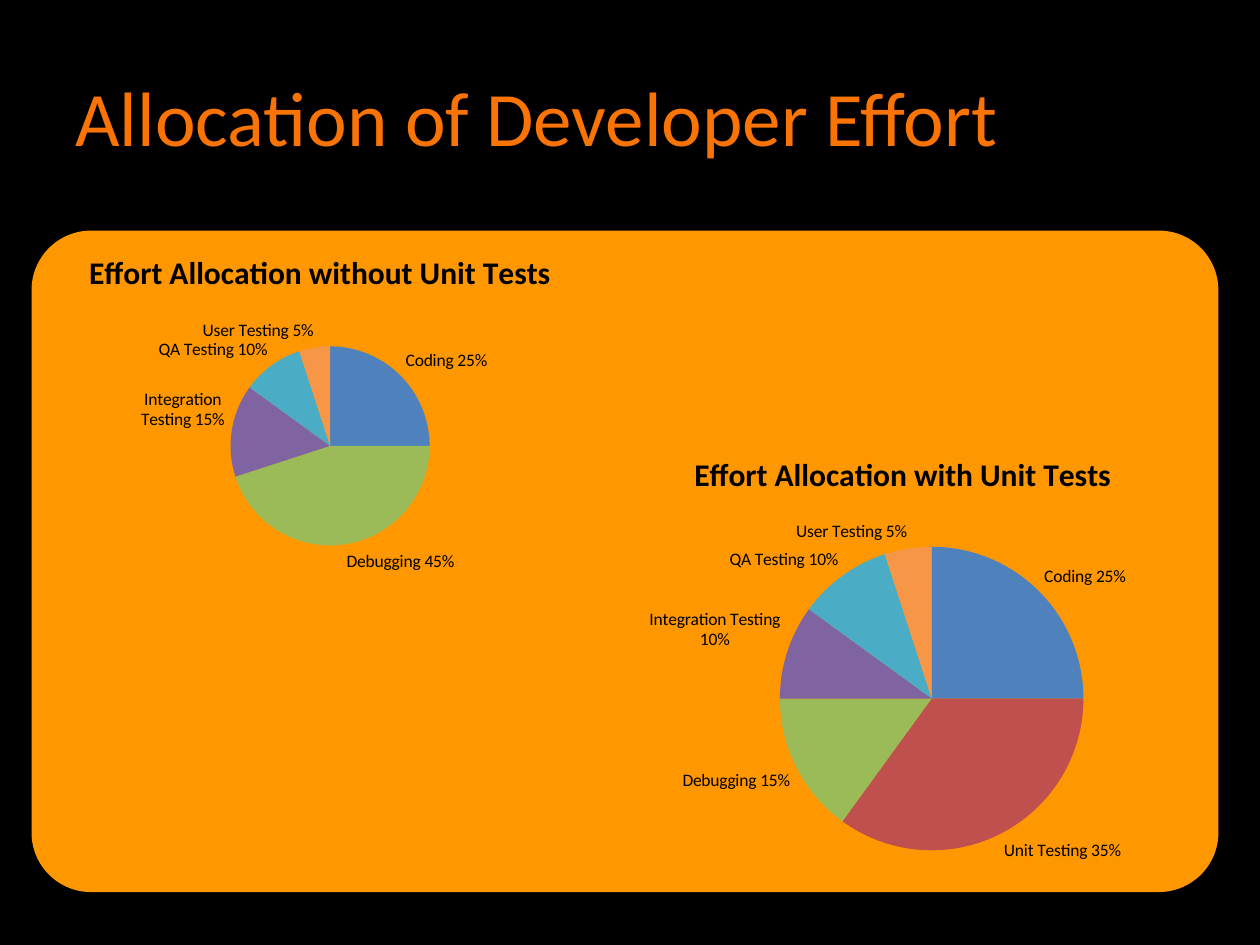
from lxml import etree
from pptx import Presentation
from pptx.chart.data import CategoryChartData
from pptx.dml.color import RGBColor
from pptx.enum.chart import XL_CHART_TYPE, XL_LABEL_POSITION
from pptx.enum.shapes import MSO_SHAPE
from pptx.enum.text import MSO_ANCHOR
from pptx.oxml import parse_xml
from pptx.oxml.ns import nsdecls, qn
from pptx.util import Inches, Pt

BLACK = RGBColor(0x00, 0x00, 0x00)
AMBER = RGBColor(0xFF, 0x97, 0x00)
ORANGE = RGBColor(0xFA, 0x73, 0x05)
SLICES = [
    RGBColor(0x4F, 0x81, 0xBD), RGBColor(0xC0, 0x50, 0x4D),
    RGBColor(0x9B, 0xBB, 0x59), RGBColor(0x80, 0x64, 0xA2),
    RGBColor(0x4B, 0xAC, 0xC6), RGBColor(0xF7, 0x96, 0x46),
]
TASKS = ["Coding", "Unit Testing", "Debugging", "Integration Testing",
         "QA Testing", "User Testing"]

# Title, shares, chart box, then left, top and width of the pie, in inches
PIES = [
    ("Effort Allocation without Unit Tests", (0.25, 0, 0.45, 0.15, 0.1, 0.05),
     (0, 1.83, 5.08, 2.83), (1.83, 2.75, 1.58)),
    ("Effort Allocation with Unit Tests", (0.25, 0.35, 0.15, 0.1, 0.1, 0.05),
     (4.33, 3.42, 5.67, 3.61), (6.19, 4.34, 2.41)),
]


def style(font, size, color, bold=False):
    looks = {"name": "Calibri", "size": Pt(size), "bold": bold}
    for key, value in looks.items():
        setattr(font, key, value)
    font.color.rgb = color


deck = Presentation()
deck.slide_width, deck.slide_height = Inches(10), Inches(7.5)
slide = deck.slides.add_slide(deck.slide_layouts[6])
slide.background.fill.solid()
slide.background.fill.fore_color.rgb = BLACK

# Panel behind the charts
panel = slide.shapes.add_shape(
    MSO_SHAPE.ROUNDED_RECTANGLE,
    *map(Inches, (0.25, 1.83, 9.42, 5.25)))
panel.adjustments[0] = 0.09
panel.shadow.inherit = False
panel.fill.solid()
panel.fill.fore_color.rgb = AMBER
panel.line.fill.background()

# Slide title
box = slide.shapes.add_textbox(*map(Inches, (0.5, 0.42, 9, 1)))
frame = box.text_frame
frame.word_wrap = True
frame.vertical_anchor = MSO_ANCHOR.MIDDLE
frame.text = "Allocation of Developer Effort"
style(frame.paragraphs[0].font, 44, ORANGE)

# Pie charts
for title, shares, place, (left, top, size) in PIES:
    data = CategoryChartData(number_format="0%")
    data.categories = TASKS
    data.add_series(title, shares)
    chart = slide.shapes.add_chart(
        XL_CHART_TYPE.PIE, *map(Inches, place), data).chart
    style(chart.font, 10, BLACK)
    chart.has_legend = False
    chart.has_title = True
    head = chart.chart_title.text_frame
    head.text = title
    style(head.paragraphs[0].runs[0].font, 18, BLACK, True)

    plot = chart.plots[0]
    plot.vary_by_categories = True
    series = plot.series[0]
    for i, color in enumerate(SLICES):
        fill = series.points[i].format.fill
        fill.solid()
        fill.fore_color.rgb = color

    # Labels: task and share, parted by a space
    labels = series.data_labels
    looks = {"show_category_name": True, "show_value": True,
             "show_percentage": False, "number_format": "0%",
             "number_format_is_linked": False,
             "position": XL_LABEL_POSITION.OUTSIDE_END}
    for key, value in looks.items():
        setattr(labels, key, value)
    style(labels.font, 10, BLACK)
    root = chart.element if hasattr(chart, "element") else chart._chartSpace
    node = next(root.iter(qn("c:ser"))).find(qn("c:dLbls"))
    gap = etree.Element(qn("c:separator"))
    gap.text = " "
    lead = node.find(qn("c:showLeaderLines"))
    if lead is None:
        node.append(gap)
    else:
        lead.addprevious(gap)

    # Empty slices get no label
    for i, share in enumerate(shares):
        if not share:
            node.insert(0, parse_xml(
                f'<c:dLbl {nsdecls("c")}><c:idx val="{i}"/>'
                '<c:delete val="1"/></c:dLbl>'))

    # Fixed place of the pie within its chart
    x, y, wide, high = place
    area = next(root.iter(qn("c:plotArea")))
    for old in area.findall(qn("c:layout")):
        area.remove(old)
    layout = etree.Element(qn("c:layout"))
    manual = etree.SubElement(layout, qn("c:manualLayout"))
    parts = {"layoutTarget": "inner", "xMode": "edge", "yMode": "edge",
             "x": (left - x) / wide, "y": (top - y) / high,
             "w": size / wide, "h": size / high}
    for key, value in parts.items():
        etree.SubElement(manual, qn("c:" + key), val=str(value))
    area.insert(0, layout)

deck.save("out.pptx")
